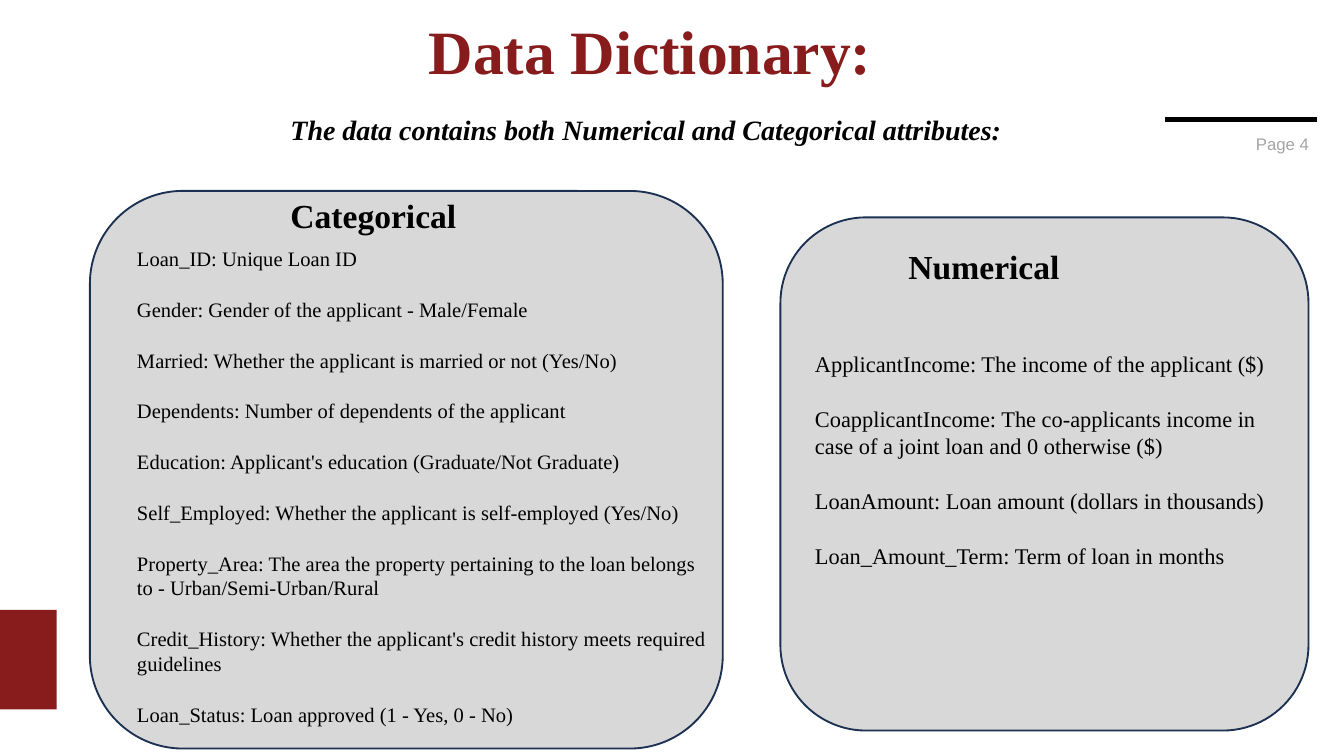
from lxml import etree
from pptx import Presentation
from pptx.dml.color import RGBColor
from pptx.enum.shapes import MSO_CONNECTOR, MSO_SHAPE
from pptx.enum.text import MSO_ANCHOR, PP_ALIGN
from pptx.oxml.ns import qn
from pptx.util import Cm, Pt

RECT, ROUNDED = MSO_SHAPE.RECTANGLE, MSO_SHAPE.ROUNDED_RECTANGLE
STRAIGHT = MSO_CONNECTOR.STRAIGHT
TOP, MIDDLE = MSO_ANCHOR.TOP, MSO_ANCHOR.MIDDLE
LEFT, CENTER, RIGHT = PP_ALIGN.LEFT, PP_ALIGN.CENTER, PP_ALIGN.RIGHT

SERIF, SANS = "Times New Roman", "Arial"
COLORS = {
    "accent": "881C1C",
    "text": "000000",
    "page": "A5A5A5",
    "panel": "D8D8D8",
    "outline": "1C3052",
}
TITLE = {"name": SERIF, "size": Pt(33), "bold": True}
SUBTITLE = {"name": SERIF, "size": Pt(15), "bold": True, "italic": True}
HEADING = {"name": SERIF, "size": Pt(18), "bold": True}
PAGE = {"name": SANS, "size": Pt(9)}
CATEGORICAL_BODY = {"name": SERIF, "size": Pt(11)}
NUMERICAL_BODY = {"name": SERIF, "size": Pt(12)}

CATEGORICAL = [
    "Loan_ID: Unique Loan ID",
    "Gender: Gender of the applicant - Male/Female",
    "Married: Whether the applicant is married or not (Yes/No)",
    "Dependents: Number of dependents of the applicant",
    "Education: Applicant's education (Graduate/Not Graduate)",
    "Self_Employed: Whether the applicant is self-employed (Yes/No)",
    "Property_Area: The area the property pertaining to the loan belongs to - Urban/Semi-Urban/Rural",
    "Credit_History: Whether the applicant's credit history meets required guidelines",
    "Loan_Status: Loan approved (1 - Yes, 0 - No)",
]
NUMERICAL = [
    "ApplicantIncome: The income of the applicant ($)",
    "CoapplicantIncome: The co-applicants income in case of a joint loan and 0 otherwise ($)",
    "LoanAmount: Loan amount (dollars in thousands)",
    "Loan_Amount_Term: Term of loan in months",
]


def rgb(key):
    return RGBColor.from_string(COLORS[key])


def write(sp, lines, font, color="text", align=LEFT, anchor=TOP, gap=0,
          line_spacing=None, bottom=0.1):
    """Fill a shape with paragraphs, separated by a gap in points."""
    tf = sp.text_frame
    frame = {
        "word_wrap": True, "vertical_anchor": anchor,
        "margin_left": Cm(0.18), "margin_right": Cm(0.18),
        "margin_top": Cm(0.1), "margin_bottom": Cm(bottom),
    }
    for name, value in frame.items():
        setattr(tf, name, value)
    for i, line in enumerate(lines):
        p = tf.paragraphs[0] if i == 0 else tf.add_paragraph()
        p.alignment = align
        p.line_spacing = line_spacing
        p.space_before = Pt(gap if i else 0)
        r = p.add_run()
        r.text = line
        for name, value in font.items():
            setattr(r.font, name, value)
        r.font.color.rgb = rgb(color)


def add_text(slide, box, lines, font, **options):
    sp = slide.shapes.add_textbox(*map(Cm, box))
    write(sp, lines, font, **options)


def add_block(slide, kind, box, fill, outline=None):
    sp = slide.shapes.add_shape(kind, *map(Cm, box))
    sp.shadow.inherit = False
    sp.fill.solid()
    sp.fill.fore_color.rgb = rgb(fill)
    if outline:
        sp.line.color.rgb = rgb(outline)
        sp.line.width = Pt(1)
    else:
        sp.line.fill.background()
    return sp


def add_rule(slide, x1, x2, y):
    line = slide.shapes.add_connector(STRAIGHT, Cm(x1), Cm(y), Cm(x2), Cm(y))
    line.line.color.rgb = rgb("text")
    line.line.width = Pt(2.5)
    etree.SubElement(line._element.spPr, qn("a:effectLst"))


def main():
    prs = Presentation()
    prs.slide_width, prs.slide_height = Cm(25.4), Cm(14.29)
    slide = prs.slides.add_slide(prs.slide_layouts[6])

    add_block(slide, RECT, (0, 11.53, 1.07, 1.88), "accent")
    add_rule(slide, 22.02, 24.89, 2.26)
    add_text(slide, (2.08, 0.1, 20.42, 1.85), ["Data Dictionary:"], TITLE,
             color="accent", align=CENTER, anchor=MIDDLE, line_spacing=0.9)
    add_text(slide, (22.05, 2.34, 2.87, 0.76), ["Page 4"], PAGE,
             color="page", align=RIGHT, anchor=MIDDLE)
    add_text(slide, (5.31, 2.03, 13.94, 1.42),
             ["The data contains both Numerical and Categorical attributes:"],
             SUBTITLE)

    add_block(slide, ROUNDED, (1.7, 3.61, 11.96, 10.54), "panel", "outline")
    add_text(slide, (5.31, 3.58, 3.68, 0.97), ["Categorical"], HEADING)
    add_text(slide, (2.41, 4.55, 11.25, 9.8), CATEGORICAL, CATEGORICAL_BODY,
             gap=14)

    panel = add_block(slide, ROUNDED, (14.75, 4.11, 9.98, 9.7), "panel", "outline")
    write(panel, NUMERICAL, NUMERICAL_BODY, anchor=MIDDLE, gap=15, bottom=0.64)
    add_text(slide, (16.99, 4.55, 3.68, 0.97), ["Numerical"], HEADING)

    prs.save("out.pptx")


if __name__ == "__main__":
    main()
